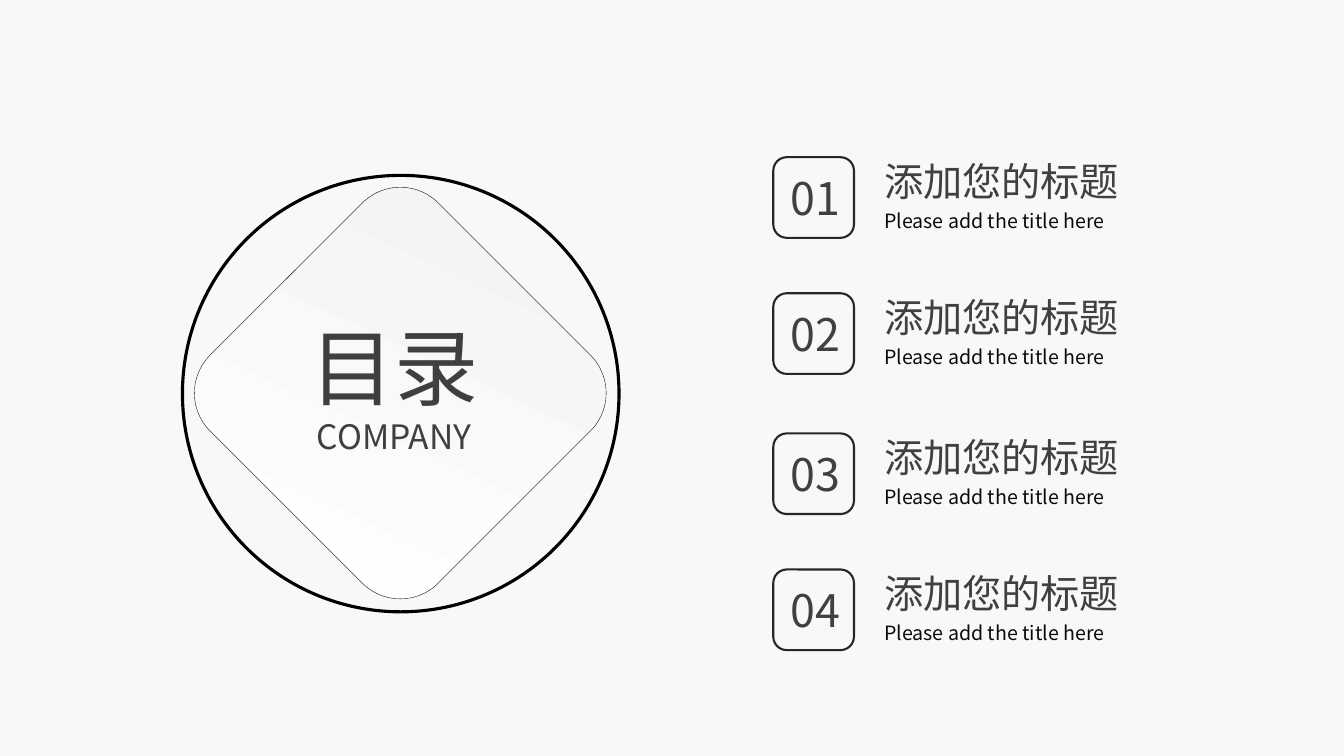
from lxml.etree import SubElement
from pptx import Presentation
from pptx.dml.color import RGBColor
from pptx.enum.shapes import MSO_SHAPE
from pptx.enum.text import MSO_ANCHOR, MSO_AUTO_SIZE, PP_ALIGN
from pptx.oxml.ns import qn
from pptx.util import Inches, Pt

BACKGROUND = RGBColor(0xF7, 0xF8, 0xFA)
WHITE = RGBColor(0xFF, 0xFF, 0xFF)
PALE_GRAY = RGBColor(0xF2, 0xF2, 0xF2)
BLACK = RGBColor(0x00, 0x00, 0x00)
BADGE_LINE = RGBColor(0x26, 0x26, 0x26)
TITLE_GRAY = RGBColor(0x3F, 0x3F, 0x3F)
HEADING_GRAY = RGBColor(0x40, 0x40, 0x40)
CAPTION_GRAY = RGBColor(0x0A, 0x0A, 0x0A)
FONT = "Noto Sans CJK SC"
CELL = Inches(0.1)


def place(left, top, width, height):
    return [round(cells * CELL) for cells in (left, top, width, height)]


def write(shape, lines, color, alignment=PP_ALIGN.LEFT, wrap=False):
    frame = shape.text_frame
    frame.text = "\n".join(text for text, size in lines)
    frame_format = {
        "word_wrap": wrap,
        "auto_size": MSO_AUTO_SIZE.SHAPE_TO_FIT_TEXT,
        "vertical_anchor": MSO_ANCHOR.TOP,
    }
    for name, value in frame_format.items():
        setattr(frame, name, value)
    for paragraph, (text, size) in zip(frame.paragraphs, lines):
        paragraph.alignment = alignment
        font = paragraph.runs[0].font
        for name, value in {"name": FONT, "size": Pt(size)}.items():
            setattr(font, name, value)
        font.color.rgb = color
        properties = paragraph.runs[0]._r.get_or_add_rPr()
        SubElement(properties, qn("a:ea"), typeface=FONT)


presentation = Presentation()
presentation.slide_width = Inches(13.33)
presentation.slide_height = Inches(7.5)
slide = presentation.slides.add_slide(presentation.slide_layouts[5])
slide.background.fill.solid()
slide.background.fill.fore_color.rgb = BACKGROUND
shapes = slide.shapes

diamond = shapes.add_shape(MSO_SHAPE.ROUNDED_RECTANGLE, *place(23.7, 23, 32, 32))
diamond.rotation = 45
diamond.shadow.inherit = False
diamond.fill.gradient()
diamond.fill.gradient_angle = 110
for stop, color in zip(diamond.fill.gradient_stops, (WHITE, PALE_GRAY)):
    stop.color.rgb = color
diamond.line.color.rgb = BLACK
diamond.line.width = Pt(0.25)

circle = shapes.add_shape(MSO_SHAPE.OVAL, *place(18.1, 17.4, 43.3, 43.3))
circle.shadow.inherit = False
circle.fill.background()
circle.line.color.rgb = BLACK
circle.line.width = Pt(2.25)

title = shapes.title
title_place = zip(("left", "top", "width", "height"), place(29.7, 30.8, 18.8, 15.1))
for name, value in title_place:
    setattr(title, name, value)
write(title, [("目录", 60), ("COMPANY", 24)], TITLE_GRAY, PP_ALIGN.CENTER)
circle.element.addnext(title.element)

for number, top in enumerate((15.6, 29.1, 43, 56.5), start=1):
    badge = shapes.add_group_shape()
    frame = badge.shapes.add_shape(
        MSO_SHAPE.ROUNDED_RECTANGLE, *place(76.7, top, 8, 8))
    frame.shadow.inherit = False
    frame.fill.background()
    frame.line.color.rgb = BADGE_LINE
    frame.line.width = Pt(1.5)
    label = badge.shapes.add_textbox(*place(77.4, top + 0.8, 7.2, 6.4))
    write(label, [(f"{number:02}", 32)], HEADING_GRAY)

    caption = shapes.add_textbox(*place(86.7, top + 4.6, 24.2, 3.4))
    write(caption, [("Please add the title here", 14)], CAPTION_GRAY)
    heading = shapes.add_textbox(*place(86.7, top - 0.5, 31.6, 5.7))
    write(heading, [("添加您的标题", 28)], HEADING_GRAY, wrap=True)

presentation.save("out.pptx")
